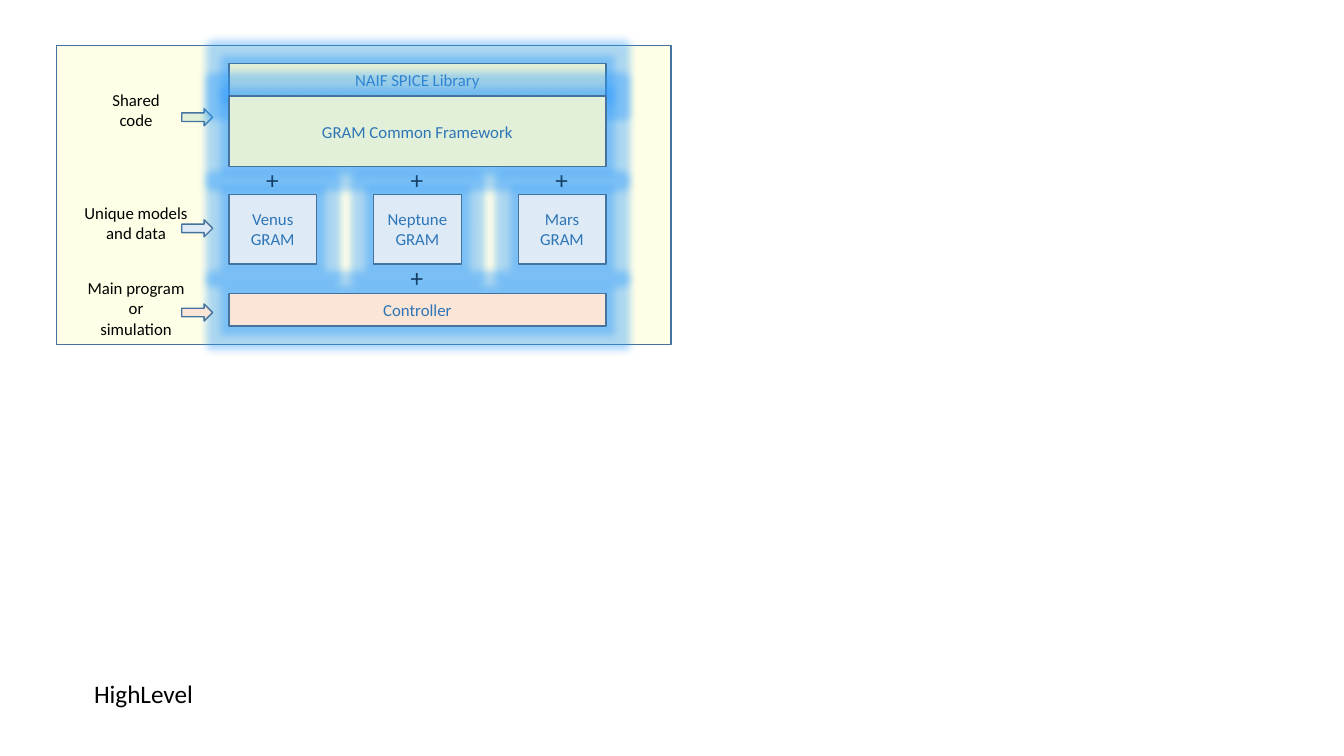
import pptx
import pptx.util
import pptx.dml.color
import pptx.enum.shapes
import pptx.enum.text
import pptx.oxml

Cm, Pt = pptx.util.Cm, pptx.util.Pt
RGBColor = pptx.dml.color.RGBColor
SHAPE = pptx.enum.shapes.MSO_SHAPE
ALIGN = pptx.enum.text.PP_ALIGN

CREAM = RGBColor(0xFF, 0xFF, 0xE7)
GREEN = RGBColor(0xE2, 0xF0, 0xD9)
BLUE = RGBColor(0xDE, 0xEB, 0xF7)
PEACH = RGBColor(0xFB, 0xE5, 0xD6)
OUTLINE = RGBColor(0x43, 0x73, 0x9E)
BOX_TEXT = RGBColor(0x2E, 0x75, 0xB6)
BLACK = RGBColor(0, 0, 0)
GLOW = RGBColor(0x31, 0x9D, 0xFF)

# Shared geometry, in centimetres
STACK_LEFT, STACK_WIDTH = 5.77, 9.5
MODEL_TOP, MODEL_WIDTH, MODEL_HEIGHT = 4.9, 2.21, 1.75
MODEL_STEP = (STACK_WIDTH - MODEL_WIDTH) / 2
MODEL_LEFTS = [STACK_LEFT + i * MODEL_STEP for i in range(3)]
LABEL_CENTER = 3.43
PLUS_WIDTH = 0.84


def format_text(frame, size, color, align):
    for para in frame.paragraphs:
        para.alignment = align
        for span in para.runs:
            span.font.name = "Calibri"
            span.font.size = Pt(size)
            span.font.color.rgb = color


def add_figure(slide, kind, left, top, width, height, fill):
    figure = slide.shapes.add_shape(kind, Cm(left), Cm(top), Cm(width), Cm(height))
    figure.shadow.inherit = False
    figure.fill.solid()
    figure.fill.fore_color.rgb = fill
    figure.line.color.rgb = OUTLINE
    figure.line.width = Pt(1)
    return figure


def add_glow(figure):
    effects = figure._element.spPr.find(pptx.oxml.ns.qn("a:effectLst"))
    effects.append(pptx.oxml.parse_xml(
        f'<a:glow {pptx.oxml.ns.nsdecls("a")} rad="{Pt(11)}">'
        f'<a:srgbClr val="{GLOW}"><a:alpha val="40000"/></a:srgbClr></a:glow>'))


def add_block(slide, text, left, top, width, height, fill):
    block = add_figure(slide, SHAPE.RECTANGLE, left, top, width, height, fill)
    add_glow(block)
    frame = block.text_frame
    frame.text = text
    frame.vertical_anchor = pptx.enum.text.MSO_ANCHOR.MIDDLE
    format_text(frame, 12, BOX_TEXT, ALIGN.CENTER)


def add_label(slide, text, left, top, width, height, size, align):
    box = slide.shapes.add_textbox(Cm(left), Cm(top), Cm(width), Cm(height))
    frame = box.text_frame
    frame.text = text
    frame.word_wrap = False
    frame.auto_size = pptx.enum.text.MSO_AUTO_SIZE.SHAPE_TO_FIT_TEXT
    format_text(frame, size, BLACK, align)


def add_plus(slide, model_left, top):
    left = model_left + (MODEL_WIDTH - PLUS_WIDTH) / 2
    add_label(slide, "+", left, top, PLUS_WIDTH, 1.02, 18, ALIGN.LEFT)


def add_row_label(slide, text, top, width, height, arrow_top, fill):
    left = LABEL_CENTER - width / 2
    add_label(slide, text, left, top, width, height, 12, ALIGN.CENTER)
    add_figure(slide, SHAPE.RIGHT_ARROW, 4.58, arrow_top, 0.78, 0.43, fill)


def main():
    deck = pptx.Presentation()
    deck.slide_width, deck.slide_height = Cm(33.87), Cm(19.05)
    page = deck.slides.add_slide(deck.slide_layouts[6])

    # Background panel
    add_figure(page, SHAPE.RECTANGLE, 1.42, 1.14, 15.49, 7.54, CREAM)

    # Planet models, each joined to the framework by a plus
    for planet, left in zip(("Venus", "Neptune", "Mars"), MODEL_LEFTS):
        add_block(page, f"{planet}\nGRAM", left, MODEL_TOP,
                  MODEL_WIDTH, MODEL_HEIGHT, BLUE)
    for left in MODEL_LEFTS:
        add_plus(page, left, 4.02)

    # Labels of the two upper rows
    add_row_label(page, "Shared\ncode", 2.13, 1.7, 1.27, 2.74, GREEN)
    add_row_label(page, "Unique models\nand data", 4.98, 3.15, 1.27, 5.54, BLUE)

    # Shared code
    add_block(page, "NAIF SPICE Library", STACK_LEFT, 1.6, STACK_WIDTH, 0.82, GREEN)
    add_block(page, "GRAM Common Framework", STACK_LEFT, 2.42, STACK_WIDTH, 1.78, GREEN)

    # Main program
    add_plus(page, MODEL_LEFTS[1], 6.48)
    add_block(page, "Controller", STACK_LEFT, 7.4, STACK_WIDTH, 0.82, PEACH)
    add_row_label(page, "Main program\nor\nsimulation", 6.88, 2.97, 1.8, 7.66, PEACH)

    # Caption
    add_label(page, "HighLevel", 2.12, 16.97, 3.05, 1.02, 18, ALIGN.LEFT)

    deck.save("out.pptx")


if __name__ == "__main__":
    main()
